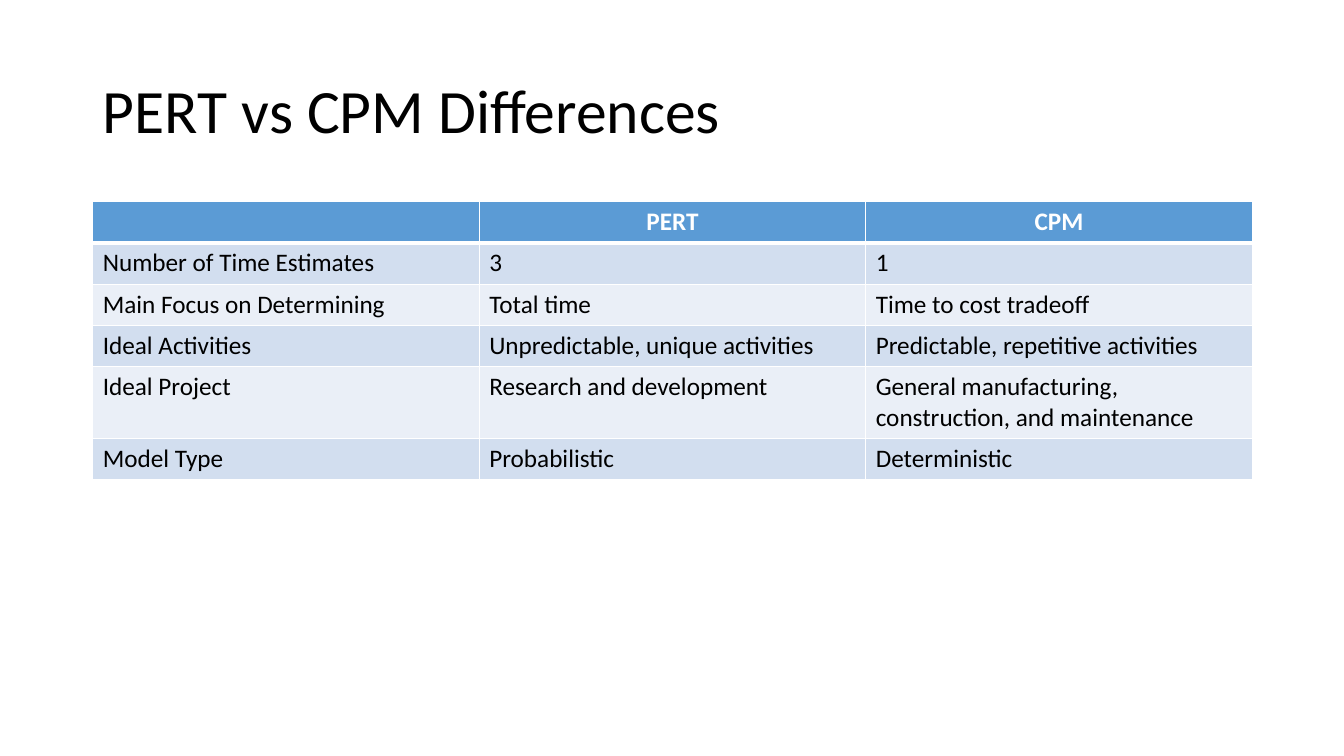
from lxml.etree import SubElement
from pptx import Presentation
from pptx.dml.color import RGBColor
from pptx.enum.text import MSO_ANCHOR as Anchor, PP_ALIGN as Align
from pptx.oxml.ns import qn
from pptx.util import Inches, Pt

WIDTH, HEIGHT = Inches(13.33), Inches(7.5)
ROW_HEIGHT = Inches(0.41)
HEADER_FILL, BAND_FILLS = "5B9BD5", ("D2DEEF", "EAEFF7")
BLACK, WHITE = "000000", "FFFFFF"
COMPARISON = [
    ("", "PERT", "CPM"),
    ("Number of Time Estimates", "3", "1"),
    ("Main Focus on Determining", "Total time", "Time to cost tradeoff"),
    ("Ideal Activities", "Unpredictable, unique activities", "Predictable, repetitive activities"),
    ("Ideal Project", "Research and development", "General manufacturing, construction, and maintenance"),
    ("Model Type", "Probabilistic", "Deterministic"),
]


def color(value):
    """Turn a hex string into a colour."""
    return RGBColor.from_string(value)


def style_text(para, size, ink, align, bold=False):
    """Set the font and alignment of one paragraph."""
    para.alignment = align
    font = para.font
    font.name, font.size, font.bold = "Calibri", Pt(size), bold
    font.color.rgb = color(ink)


def add_borders(cell, widths):
    """Draw white cell borders, with widths in points by side."""
    properties = cell._tc.get_or_add_tcPr()
    for side, width in widths.items():
        line = SubElement(properties, qn(f"a:ln{side}"), w=str(Pt(width)))
        fill = SubElement(line, qn("a:solidFill"))
        SubElement(fill, qn("a:srgbClr"), val=WHITE)


def place_title(page, text, left, top, width, height):
    """Fill and format the title placeholder in the given box."""
    title = page.shapes.title
    title.left, title.top, title.width, title.height = left, top, width, height
    frame = title.text_frame
    frame.text = text
    frame.vertical_anchor = Anchor.MIDDLE
    para = frame.paragraphs[0]
    para.line_spacing = 0.9
    style_text(para, 44, BLACK, Align.LEFT)


def place_table(page, rows, left, top, width):
    """Add the banded comparison table at the given place."""
    shape = page.shapes.add_table(len(rows), len(rows[0]), left, top, width, ROW_HEIGHT * len(rows))
    for row_index, texts in enumerate(rows):
        header = row_index == 0
        for column_index, text in enumerate(texts):
            cell = shape.table.cell(row_index, column_index)
            cell.text = text
            style_text(cell.text_frame.paragraphs[0], 18, WHITE if header else BLACK,
                       Align.CENTER if header else Align.LEFT, header)
            add_borders(cell, {"L": 1, "R": 1, "T": 3 if row_index == 1 else 1, "B": 3 if header else 1})
            cell.fill.solid()
            cell.fill.fore_color.rgb = color(HEADER_FILL if header else BAND_FILLS[(row_index - 1) % 2])


def main():
    """Build and save the deck."""
    deck = Presentation()
    deck.slide_width, deck.slide_height = WIDTH, HEIGHT
    page = deck.slides.add_slide(deck.slide_layouts[5])
    left, width = Inches(0.92), Inches(11.5)
    place_title(page, "PERT vs CPM Differences", left, Inches(0.4), width, Inches(1.45))
    place_table(page, COMPARISON, left, Inches(2), width)
    deck.save("out.pptx")


if __name__ == "__main__":
    main()
